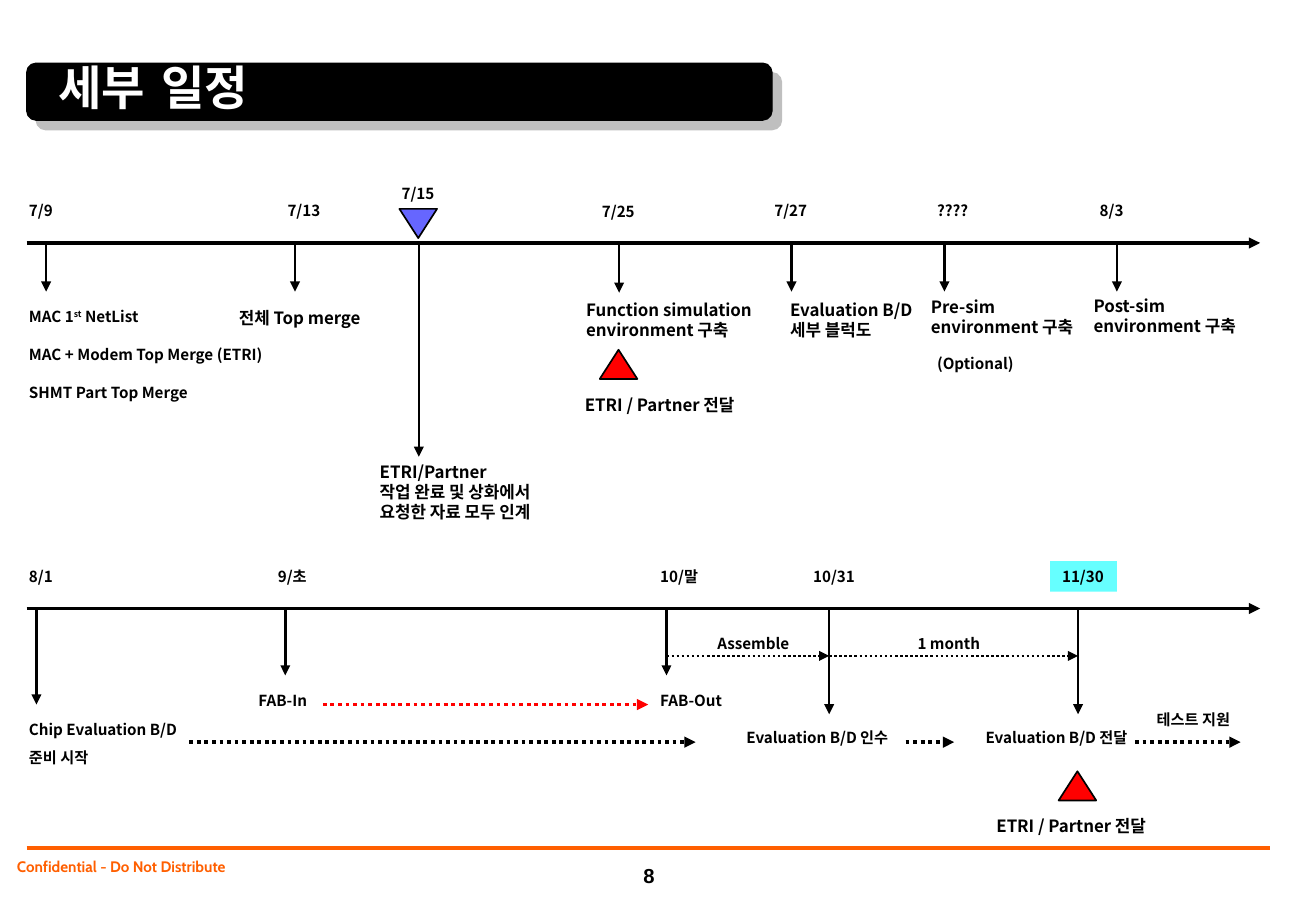
from dataclasses import dataclass

from lxml.etree import SubElement
from pptx import Presentation
from pptx.dml.color import RGBColor
from pptx.enum.dml import MSO_LINE_DASH_STYLE as Dash
from pptx.enum.shapes import MSO_CONNECTOR as Connector, MSO_SHAPE as Shape
from pptx.enum.text import MSO_ANCHOR as Anchor, MSO_AUTO_SIZE as AutoSize, PP_ALIGN as Align
from pptx.oxml.ns import qn
from pptx.util import Pt

PX = 9144


@dataclass(frozen=True)
class Theme:
    ink: str = "000000"
    paper: str = "FFFFFF"
    accent: str = "FF5F00"
    alert: str = "FF0000"
    marker: str = "6666FF"
    highlight: str = "66FFFF"
    shade: str = "808080"
    label_font: str = "Noto Sans CJK KR"
    title_font: str = "DejaVu Sans"
    footer_font: str = "Cabin"
    number_font: str = "Arial"
    title: int = 28
    number: int = 12
    detail: int = 10
    label: int = 9


def write(frame, text, *, font, size, color, align=Align.LEFT, gap=0, spacing=None,
          insets=(10, 5, 10, 5), anchor=Anchor.TOP, wrap=True, fit=AutoSize.NONE):
    frame.word_wrap, frame.auto_size, frame.vertical_anchor = wrap, fit, anchor
    (frame.margin_left, frame.margin_top,
     frame.margin_right, frame.margin_bottom) = [inset * PX for inset in insets]
    for row, line in enumerate(text.split("\n")):
        para = frame.add_paragraph() if row else frame.paragraphs[0]
        para.alignment = align
        para.space_before = Pt(gap if row else 0)
        if spacing:
            para.line_spacing = spacing
        for index, piece in enumerate(line.split("^")):
            span = para.add_run()
            span.text = piece
            span.font.name, span.font.size, span.font.bold = font, Pt(size), True
            span.font.color.rgb = RGBColor.from_string(color)
            properties = span.font._element
            SubElement(properties, qn("a:ea"), typeface=font)
            if index % 2:
                properties.set("baseline", "30000")


class Page:
    def __init__(self, deck, theme):
        self.theme = theme
        self.slide = deck.slides.add_slide(deck.slide_layouts[5])
        self.shapes = self.slide.shapes

    def title(self, text, *bounds):
        holder = self.shapes.title
        holder.left, holder.top, holder.width, holder.height = [n * PX for n in bounds]
        holder.element.getparent().append(holder.element)
        write(holder.text_frame, text, font=self.theme.title_font, size=self.theme.title,
              color=self.theme.paper, anchor=Anchor.MIDDLE, insets=(10, 6, 10, 6))

    def text(self, text, *bounds, **style):
        box = self.shapes.add_textbox(*[n * PX for n in bounds])
        look = dict(font=self.theme.label_font, size=self.theme.label, color=self.theme.ink)
        write(box.text_frame, text, **{**look, **style})

    def label(self, text, left, top, width=71, height=25):
        self.text(text, left, top, width, height, gap=5.6, fit=AutoSize.SHAPE_TO_FIT_TEXT)

    def detail(self, text, *bounds):
        self.text(text, *bounds, size=self.theme.detail, anchor=Anchor.MIDDLE,
                  wrap=False, fit=AutoSize.SHAPE_TO_FIT_TEXT)

    def block(self, kind, fill, *bounds, outline=0, rotation=0):
        shape = self.shapes.add_shape(kind, *[n * PX for n in bounds])
        shape.fill.solid()
        shape.fill.fore_color.rgb = RGBColor.from_string(fill)
        if outline:
            shape.line.color.rgb = RGBColor.from_string(self.theme.ink)
            shape.line.width = Pt(outline)
        else:
            shape.line.fill.background()
        shape.shadow.inherit = False
        shape.rotation = rotation
        return shape

    def banner(self, *bounds):
        shape = self.block(Shape.ROUNDED_RECTANGLE, self.theme.ink, *bounds, outline=0.75)
        effects = shape.element.spPr.find(qn("a:effectLst"))
        shadow = SubElement(effects, qn("a:outerShdw"), dist=str(Pt(8)), dir="2700000",
                            algn="ctr", rotWithShape="0")
        color = SubElement(shadow, qn("a:srgbClr"), val=self.theme.shade)
        SubElement(color, qn("a:alpha"), val="50000")

    def triangle(self, fill, left, top, rotation=0):
        self.block(Shape.ISOSCELES_TRIANGLE, fill, left, top, 31, 24,
                   outline=1, rotation=rotation)

    def line(self, *ends, color=None, width=1.5, dotted=False, arrow=True):
        line = self.shapes.add_connector(Connector.STRAIGHT, *[n * PX for n in ends])
        line.line.color.rgb = RGBColor.from_string(color or self.theme.ink)
        line.line.width = Pt(width)
        if dotted:
            line.line.dash_style = Dash.ROUND_DOT
        if arrow:
            SubElement(line.line._ln, qn("a:tailEnd"), type="triangle")
        SubElement(line._element.spPr, qn("a:effectLst"))


def build_frame(page, theme):
    page.line(22, 698, 1046, 698, color=theme.accent, width=2, arrow=False)
    page.text("Confidential - Do Not Distribute", 9, 704, 366, 27, font=theme.footer_font,
              color=theme.accent, spacing=1.1, insets=(5, 0, 5, 0))
    page.text("8", 519, 705, 31, 31, font=theme.number_font, size=theme.number,
              align=Align.CENTER, anchor=Anchor.BOTTOM)
    page.banner(22, 52, 614, 47)
    page.title("세부 일정", 38, 20, 591, 103)


def build_timelines(page):
    timelines = {
        200: [(38, 240), (243, 240), (345, 376), (510, 241),
              (652, 240), (778, 240), (920, 240)],
        501: [(30, 580), (235, 556), (549, 556), (683, 588), (888, 588)],
    }
    for axis, milestones in timelines.items():
        page.line(22, axis, 1038, axis, width=2.25)
        for center, end in milestones:
            page.line(center, axis, center, end)

    dates = [("7/9", 14, 161), ("7/13", 227, 161), ("7/15", 321, 147), ("7/25", 486, 162),
             ("7/27", 628, 161), ("????", 762, 161), ("8/3", 896, 161),
             ("8/1", 14, 462), ("9/초", 219, 462), ("10/말", 534, 462), ("10/31", 660, 462)]
    for date in dates:
        page.label(*date)


def build_tasks(page):
    labels = [
        ("MAC 1^st^ NetList", 14, 248, 221),
        ("MAC + Modem Top Merge (ETRI)", 14, 279, 221),
        ("SHMT Part Top Merge", 14, 311, 221),
        ("(Optional)", 762, 287, 95),
        ("Chip Evaluation B/D\n준비 시작", 14, 588, 221, 48),
        ("FAB-In", 203, 564, 221),
        ("FAB-Out", 534, 564, 221),
        ("Evaluation B/D 인수", 605, 595, 221),
        ("Evaluation B/D 전달", 802, 595, 221),
        ("테스트 지원", 943, 580, 95),
        ("Assemble", 581, 517, 95),
        ("1 month", 746, 517, 95),
    ]
    for label in labels:
        page.label(*label)

    details = [
        ("전체 Top merge", 187, 248, 126, 27),
        ("Function simulation\nenvironment 구축", 473, 241, 162, 44),
        ("Evaluation B/D\n세부 블럭도", 641, 241, 122, 44),
        ("Pre-sim\nenvironment 구축", 757, 239, 146, 44),
        ("Post-sim\nenvironment 구축", 891, 238, 146, 44),
        ("ETRI / Partner 전달", 472, 320, 153, 27),
        ("ETRI / Partner 전달", 811, 666, 153, 27),
        ("ETRI/Partner\n작업 완료 및 상화에서\n요청한 자료 모두 인계", 303, 375, 146, 60),
    ]
    for detail in details:
        page.detail(*detail)


def build_markers(page, theme):
    for start, end in [(156, 573), (746, 786), (935, 1022)]:
        page.line(start, 611, end, 611, width=2.25, dotted=True)
    page.line(266, 580, 534, 580, color=theme.alert, width=2.25, dotted=True)
    for start, end in [(549, 683), (683, 888)]:
        page.line(start, 540, end, 540, dotted=True)

    page.triangle(theme.marker, 329, 172, rotation=180)
    page.triangle(theme.alert, 494, 288)
    page.triangle(theme.alert, 872, 635)

    deadline = page.block(Shape.RECTANGLE, theme.highlight, 865, 462, 55, 25)
    write(deadline.text_frame, "11/30", font=theme.label_font, size=theme.label,
          color=theme.ink)


def main():
    deck = Presentation()
    deck.slide_width, deck.slide_height = 1084 * PX, 750 * PX
    theme = Theme()
    page = Page(deck, theme)
    build_frame(page, theme)
    build_timelines(page)
    build_tasks(page)
    build_markers(page, theme)
    deck.save("out.pptx")


if __name__ == "__main__":
    main()
